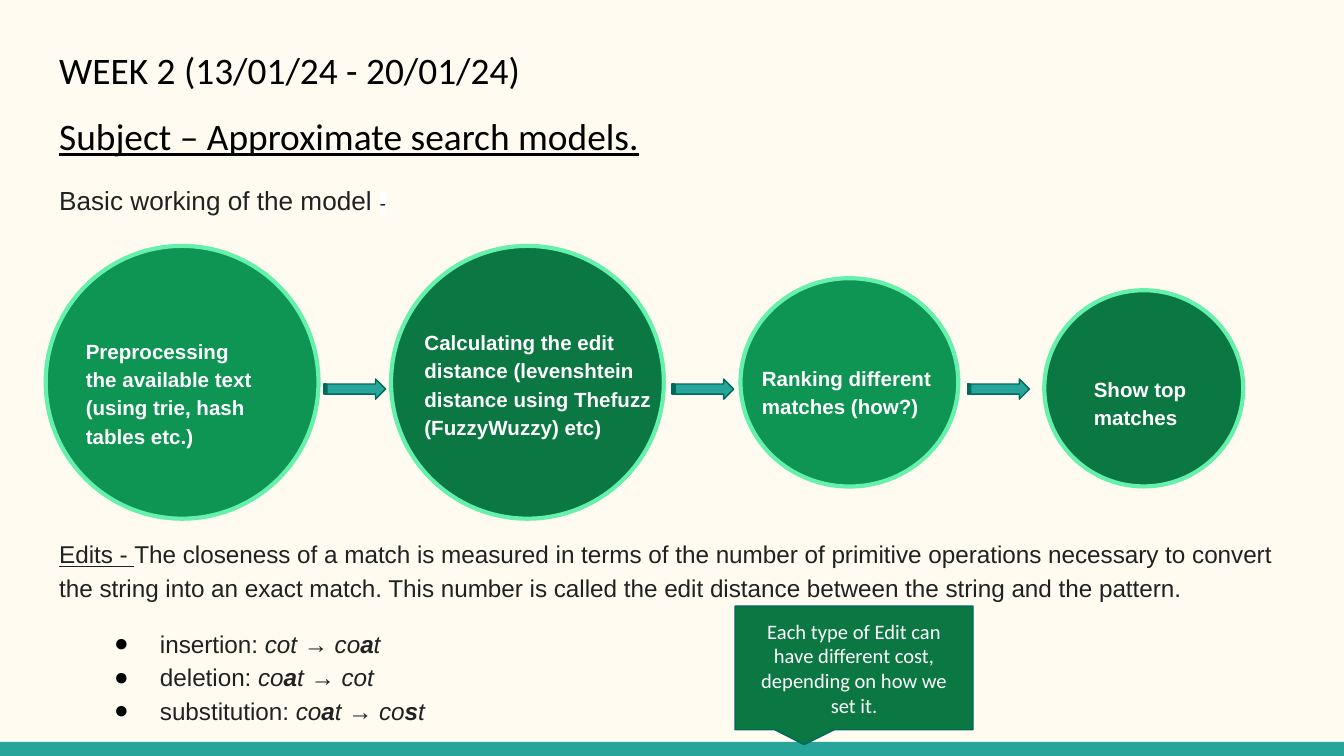
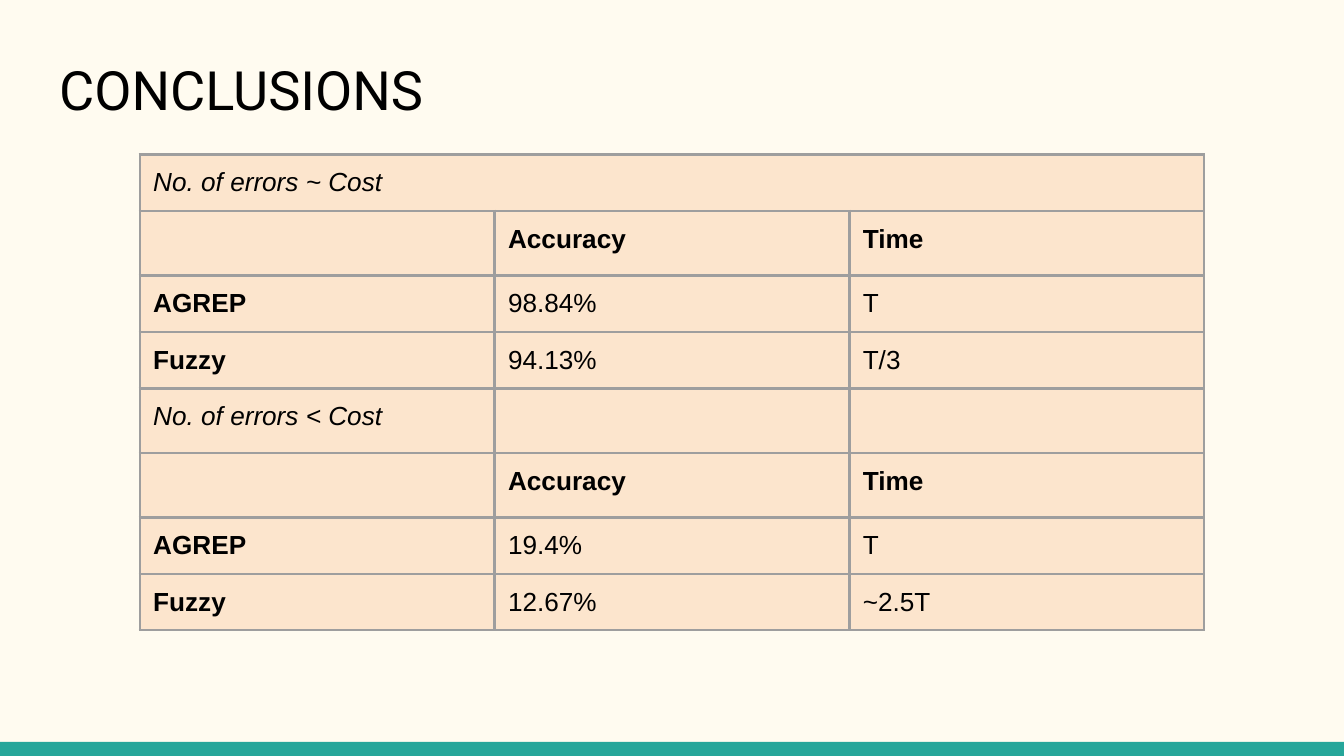
from lxml.etree import SubElement
from pptx import Presentation
from pptx.dml.color import RGBColor
from pptx.enum.shapes import MSO_SHAPE
from pptx.enum.text import MSO_ANCHOR, MSO_AUTO_SIZE, PP_ALIGN
from pptx.oxml.ns import qn
from pptx.util import Inches, Pt

CREAM, TEAL, DARK_TEAL = "FFFBF0", "26A69A", "00695C"
GREEN, DARK_GREEN, MINT = "0E9453", "0B7743", "65F0AC"
BLACK, INK, WHITE = "000000", "202122", "FFFFFF"
PEACH, GREY = "FCE5CD", "9E9E9E"

# Text, fill, circle box, text box
STAGES = [
    ("Preprocessing the available text (using trie, hash tables etc.)", GREEN,
     (0.34, 1.83, 2.03, 2.03), (0.54, 2.53, 1.53, 0.77)),
    ("Calculating the edit distance (levenshtein distance using Thefuzz (FuzzyWuzzy) etc)",
     DARK_GREEN, (2.91, 1.83, 2.03, 2.03), (3.06, 2.44, 2.03, 0.82)),
    ("Ranking different matches (how?)", GREEN,
     (5.51, 2.07, 1.62, 1.55), (5.57, 2.65, 1.62, 0.51)),
    ("Show top matches", DARK_GREEN,
     (7.77, 2.16, 1.48, 1.46), (8.04, 2.78, 1.09, 0.41)),
]
ARROW_LEFTS = (2.41, 5, 7.2)

# Runs are (text, style letters): b bold, i italic, u underline
EDITS = [
    [("insertion: ", ""), ("cot", "i"), (" → ", ""), ("co", "i"), ("a", "bi"), ("t", "i")],
    [("deletion: ", ""), ("co", "i"), ("a", "bi"), ("t", "i"), (" → ", ""), ("cot", "i")],
    [("substitution: ", ""), ("co", "i"), ("a", "bi"), ("t", "i"), (" → ", ""),
     ("co", "i"), ("s", "bi"), ("t", "i")],
]

HEADER = [("", ""), ("Accuracy", "b"), ("Time", "b")]
RESULTS = [
    [("No. of errors ~ Cost", "i"), ("", ""), ("", "")],
    HEADER,
    [("AGREP", "b"), ("98.84%", ""), ("T", "")],
    [("Fuzzy", "b"), ("94.13%", ""), ("T/3", "")],
    [("No. of errors < Cost", "i"), ("", ""), ("", "")],
    HEADER,
    [("AGREP", "b"), ("19.4%", ""), ("T", "")],
    [("Fuzzy", "b"), ("12.67%", ""), ("~2.5T", "")],
]


def rgb(color):
    return RGBColor.from_string(color)


def inches(box):
    return [Inches(v) for v in box]


def add_run(p, text, size, color, font="Arial", style=""):
    r = p.add_run()
    r.text = text
    r.font.name, r.font.size = font, Pt(size)
    r.font.color.rgb = rgb(color)
    r.font.bold, r.font.italic, r.font.underline = (s in style for s in "biu")
    return r


def highlight(r, color):
    mark = r.font._element.makeelement(qn("a:highlight"))
    SubElement(mark, qn("a:srgbClr"), val=color)
    r.font._element.find(qn("a:latin")).addprevious(mark)


def add_paragraph(tf, first=False, before=0, spacing=1.15, align=PP_ALIGN.LEFT):
    p = tf.paragraphs[0] if first else tf.add_paragraph()
    p.space_before, p.line_spacing, p.alignment = Pt(before), spacing, align
    return p


def set_bullet(p, char=None):
    pPr = p._p.get_or_add_pPr()
    pPr.set("marL", str(Inches(0.75) if char else 0))
    pPr.set("indent", str(Inches(-0.34) if char else 0))
    if char:
        SubElement(SubElement(pPr, qn("a:buClr")), qn("a:srgbClr"), val=BLACK)
        SubElement(pPr, qn("a:buChar"), char=char)
    else:
        SubElement(pPr, qn("a:buNone"))


def frame(sp, anchor=MSO_ANCHOR.TOP):
    """Give a shape's text frame the shared insets and wrapping."""
    tf = sp.text_frame
    tf.word_wrap, tf.auto_size, tf.vertical_anchor = True, MSO_AUTO_SIZE.NONE, anchor
    tf.margin_left = tf.margin_right = tf.margin_top = tf.margin_bottom = Inches(0.1)
    return tf


def place(sp, box):
    sp.left, sp.top, sp.width, sp.height = inches(box)
    return frame(sp)


def add_shape(shapes, kind, box, fill, line=None, weight=0.75):
    sp = shapes.add_shape(kind, *inches(box))
    sp.shadow.inherit = False
    sp.fill.solid()
    sp.fill.fore_color.rgb = rgb(fill)
    if line:
        sp.line.color.rgb = rgb(line)
        sp.line.width = Pt(weight)
    else:
        sp.line.fill.background()
    return sp


def style_master(prs, s):
    """Set the background and move the bottom band to the master."""
    fill = prs.slide_master.background.fill
    fill.solid()
    fill.fore_color.rgb = rgb(CREAM)
    band = add_shape(s.shapes, MSO_SHAPE.RECTANGLE, (0, 5.52, 10, 0.11), TEAL)
    band.element.xpath("./p:nvSpPr/p:cNvPr")[0].set("id", "20")
    prs.slide_master.shapes.element.append(band.element)


def add_title(s, top, lines, size, font, spacing):
    tf = place(s.shapes.title, (0.34, top, 9.32, 0.67))
    for i, (text, style) in enumerate(lines):
        p = add_paragraph(tf, i == 0, 8 if i else 0, spacing)
        add_run(p, text, size, BLACK, font, style)


def add_body(s, box):
    tf = place(s.placeholders[1], box)
    p = add_paragraph(tf, first=True)
    set_bullet(p)
    add_run(p, "Basic working of the model ", 14, INK)
    highlight(add_run(p, "-", 10.5, INK), WHITE)

    p = add_paragraph(tf, before=171)  # leaves room for the flow of circles
    set_bullet(p)
    add_run(p, "Edits - ", 13, INK, style="u")
    add_run(p, "The closeness of a match is measured in terms of the number of primitive "
               "operations necessary to convert the string into an exact match. This number "
               "is called the edit distance between the string and the pattern.", 13, INK)

    for i, runs in enumerate(EDITS):
        p = add_paragraph(tf, before=0 if i else 12)
        set_bullet(p, "●")
        for text, style in runs:
            add_run(p, text, 13, INK, style=style)


def add_stage(s, text, fill, circle, label):
    group = s.shapes.add_group_shape()
    add_shape(group.shapes, MSO_SHAPE.OVAL, circle, fill, MINT, 2.25)
    tf = frame(group.shapes.add_textbox(*inches(label)), MSO_ANCHOR.MIDDLE)
    add_run(add_paragraph(tf, first=True), text, 11, WHITE, style="b")


def add_callout(s, box, text):
    sp = add_shape(s.shapes, MSO_SHAPE.ROUNDED_RECTANGULAR_CALLOUT, box, DARK_GREEN, DARK_TEAL)
    for i, value in enumerate((-0.21, 0.62, 0)):
        sp.adjustments[i] = value
    tf = frame(sp, MSO_ANCHOR.MIDDLE)
    p = add_paragraph(tf, first=True, spacing=1.0, align=PP_ALIGN.CENTER)
    add_run(p, text, 11, WHITE, "Calibri")


def fill_cell(cell, text, style):
    cell.margin_left = cell.margin_right = cell.margin_top = cell.margin_bottom = Inches(0.1)
    tcPr = cell._tc.get_or_add_tcPr()
    for side in "LRTB":
        ln = SubElement(tcPr, qn(f"a:ln{side}"), w=str(Pt(1.5)))
        SubElement(SubElement(ln, qn("a:solidFill")), qn("a:srgbClr"), val=GREY)
    cell.fill.solid()
    cell.fill.fore_color.rgb = rgb(PEACH)
    p = cell.text_frame.paragraphs[0]
    if text:
        add_run(p, text, 14, BLACK, style=style)
    else:
        end = SubElement(p._p, qn("a:endParaRPr"), sz="1800")
        SubElement(end, qn("a:latin"), typeface="Arial")


def add_results(s, left, top, col_width, row_height):
    rows, cols = len(RESULTS), len(HEADER)
    table = s.shapes.add_table(rows, cols, *inches(
        (left, top, cols * col_width, rows * row_height))).table
    table.first_row = table.horz_banding = False
    for i, row in enumerate(RESULTS):
        for j, (text, style) in enumerate(row):
            fill_cell(table.cell(i, j), text, style)
    table.cell(0, 0).merge(table.cell(0, cols - 1))


def build_week_slide(s):
    add_title(s, 0.2, [("WEEK 2 (13/01/24 - 20/01/24)", ""),
                       ("Subject – Approximate search models.", "u")], 20, "Calibri", 1.15)
    add_body(s, (0.34, 1.24, 9.32, 4.38))
    for stage in STAGES:
        add_stage(s, *stage)
    for left in ARROW_LEFTS:
        add_shape(s.shapes, MSO_SHAPE.STRIPED_RIGHT_ARROW, (left, 2.82, 0.46, 0.15),
                  TEAL, DARK_TEAL)
    add_callout(s, (5.47, 4.51, 1.77, 0.92),
                "Each type of Edit can have different cost, depending on how we set it.")


def build_conclusions_slide(s):
    add_title(s, 0.32, [("CONCLUSIONS", "")], 29, "Roboto", 1.0)
    add_results(s, 1.04, 1.15, 2.64, 0.42)


def main():
    prs = Presentation()
    prs.slide_width = Inches(10)
    prs.slide_height = prs.slide_width * 9 // 16
    week = prs.slides.add_slide(prs.slide_layouts[1])
    style_master(prs, week)
    build_week_slide(week)
    build_conclusions_slide(prs.slides.add_slide(prs.slide_layouts[5]))
    prs.save("out.pptx")


if __name__ == "__main__":
    main()
